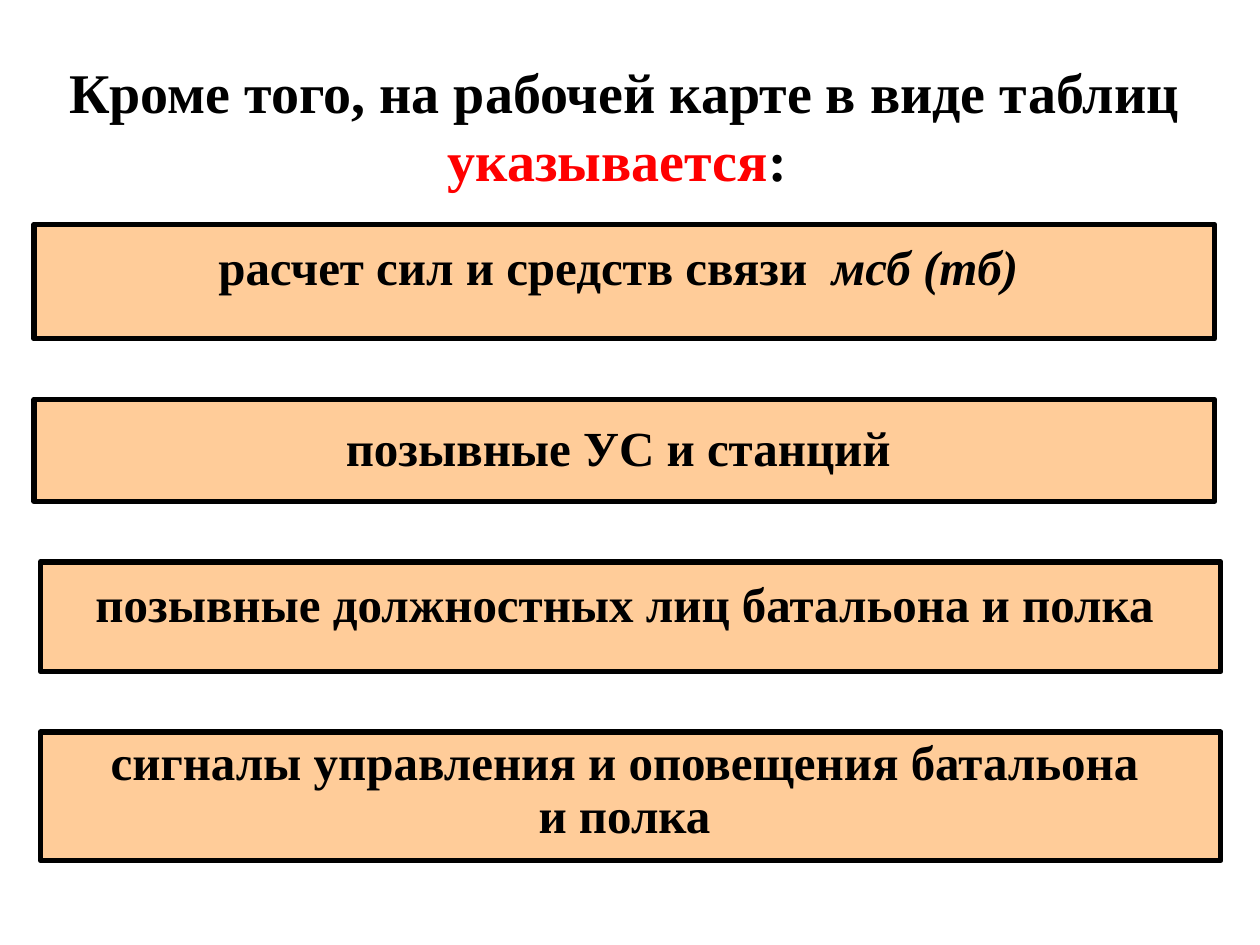
from dataclasses import dataclass

import pptx
import pptx.dml.color
import pptx.enum.shapes
import pptx.enum.text
import pptx.util

Inches, Pt = pptx.util.Inches, pptx.util.Pt
RGB = pptx.dml.color.RGBColor
Align, Anchor = pptx.enum.text.PP_ALIGN, pptx.enum.text.MSO_ANCHOR

BLACK = RGB(0x00, 0x00, 0x00)
RED = RGB(0xFF, 0x00, 0x00)
PEACH = RGB(0xFF, 0xCC, 0x99)
FONT = "Times New Roman"
WIDTH = 9.37


@dataclass
class Box:
    left: float
    top: float
    height: float
    space: float
    lines: list[str]
    tail: str = ""


BOXES = [
    Box(0.27, 1.78, 0.91, 1.1, ["расчет сил и средств связи  "], "мсб (тб) "),
    Box(0.27, 3.17, 0.81, 1.2, ["позывные УС и станций "]),
    Box(0.32, 4.46, 0.87, 1.1, ["позывные должностных лиц батальона и полка "]),
    Box(0.32, 5.81, 1.02, 0.9,
        ["сигналы управления и оповещения батальона ", "и полка "]),
]


def style(para, size: int, space: float) -> None:
    para.alignment = Align.CENTER
    para.line_spacing = space
    para.space_before = Pt(0)
    font = para.font
    font.name, font.size, font.bold = FONT, Pt(size), True


def add_title(slide) -> None:
    title = slide.shapes.title
    title.left, title.top = Inches(0.27), Inches(0.41)
    title.width, title.height = Inches(WIDTH), Inches(1.13)
    frame = title.text_frame
    frame.word_wrap = True
    frame.auto_size = pptx.enum.text.MSO_AUTO_SIZE.NONE
    frame.vertical_anchor = Anchor.TOP
    para = frame.paragraphs[0]
    style(para, 32, 1.0)
    for text, color in [("Кроме того, на рабочей карте в виде таблиц ", BLACK),
                        ("указывается", RED), (": ", BLACK)]:
        run = para.add_run()
        run.text = text
        run.font.color.rgb = color


def add_box(slide, box: Box) -> None:
    shape = slide.shapes.add_shape(
        pptx.enum.shapes.MSO_SHAPE.RECTANGLE, Inches(box.left),
        Inches(box.top), Inches(WIDTH), Inches(box.height))
    shape.shadow.inherit = False
    shape.fill.solid()
    shape.fill.fore_color.rgb = PEACH
    shape.line.color.rgb = BLACK
    shape.line.width = Pt(3)
    frame = shape.text_frame
    frame.word_wrap = True
    frame.vertical_anchor = Anchor.TOP
    frame.text = "\n".join(box.lines)
    for para in frame.paragraphs:
        style(para, 28, box.space)
        para.font.color.rgb = BLACK
    if box.tail:
        run = frame.paragraphs[-1].add_run()
        run.text = box.tail
        run.font.italic = True


def main() -> None:
    deck = pptx.Presentation()
    deck.slide_width, deck.slide_height = Inches(10), Inches(7.5)
    slide = deck.slides.add_slide(deck.slide_layouts.get_by_name("Title Only"))
    add_title(slide)
    for box in BOXES:
        add_box(slide, box)
    deck.save("out.pptx")


if __name__ == "__main__":
    main()
